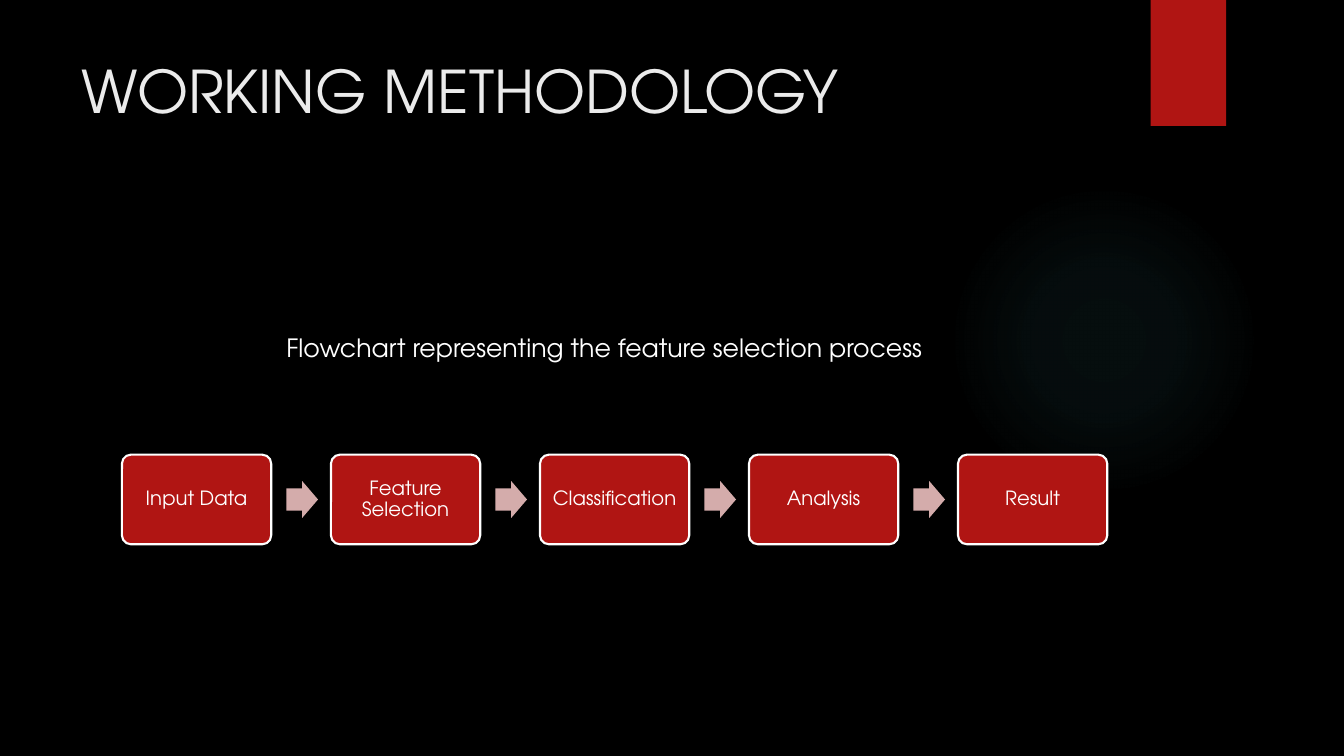
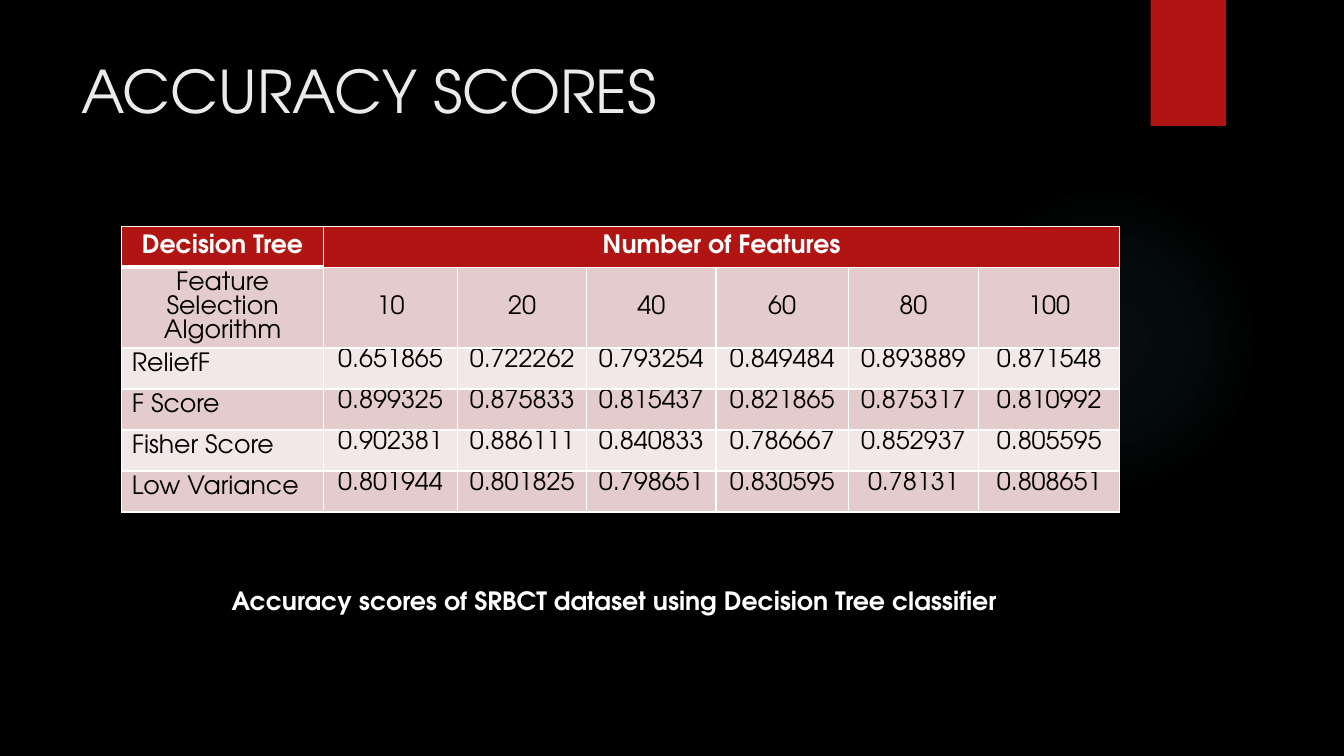
"""Build two dark slides: a feature selection flowchart and a table of accuracy scores."""
from lxml.etree import SubElement
from pptx import Presentation
from pptx.dml.color import RGBColor
from pptx.enum.shapes import MSO_SHAPE
from pptx.enum.text import MSO_ANCHOR, MSO_AUTO_SIZE, PP_ALIGN
from pptx.oxml import parse_xml
from pptx.oxml.ns import nsdecls, qn
from pptx.util import Pt

FONT = "TeX Gyre Adventor"
BLACK, WHITE, TITLE_GREY = "000000", "FFFFFF", "EBEBEB"
RED, ARROW_PINK, GLOW_TEAL = "B01513", "D4ACAB", "50B9C1"
BANDS = ["E4CCCC", "F2E8E7"]
GLOW_STOPS = [(0, 7), (36, 6), (69, 0)]

FLOW_TITLE = "WORKING METHODOLOGY"
FLOW_CAPTION = "Flowchart representing the feature selection process"
STEPS = ["Input Data", "Feature Selection", "Classification", "Analysis", "Result"]

SCORES_TITLE = "ACCURACY SCORES"
SCORES_CAPTION = "Accuracy scores of SRBCT dataset using Decision Tree classifier"
SCORES = [
    ["Decision Tree", "Number of Features", "", "", "", "", ""],
    ["Feature Selection Algorithm", "10", "20", "40", "60", "80", "100"],
    ["ReliefF", "0.651865", "0.722262", "0.793254", "0.849484", "0.893889", "0.871548"],
    ["F Score", "0.899325", "0.875833", "0.815437", "0.821865", "0.875317", "0.810992"],
    ["Fisher Score", "0.902381", "0.886111", "0.840833", "0.786667", "0.852937", "0.805595"],
    ["Low Variance", "0.801944", "0.801825", "0.798651", "0.830595", "0.78131", "0.808651"],
]
COLUMN_WIDTHS = [144, 96, 92, 92.5, 94.5, 93, 101]
ROW_HEIGHT, LABEL_ROW_HEIGHT = 29.3, 57.4


def rgb(colour):
    return RGBColor.from_string(colour)


def write(frame, text, size=18, colour=WHITE, bold=False, align=PP_ALIGN.CENTER,
          anchor=MSO_ANCHOR.TOP, spacing=1.0, margins=(7.2, 3.6), cell=None):
    if cell is None:
        frame.word_wrap = True
        frame.auto_size = MSO_AUTO_SIZE.NONE
    holder = frame if cell is None else cell
    holder.vertical_anchor = anchor
    holder.margin_left = holder.margin_right = Pt(margins[0])
    holder.margin_top = holder.margin_bottom = Pt(margins[1])
    paragraph = frame.paragraphs[0]
    paragraph.alignment = align
    paragraph.line_spacing = spacing
    run = paragraph.add_run()
    run.text = text
    run.font.name, run.font.size, run.font.bold = FONT, Pt(size), bold
    run.font.color.rgb = rgb(colour)


def add_block(slide, preset, box, fill, outline=None):
    block = slide.shapes.add_shape(preset, *map(Pt, box))
    block.shadow.inherit = False
    block.fill.solid()
    block.fill.fore_color.rgb = rgb(fill)
    if outline:
        block.line.color.rgb = rgb(outline)
        block.line.width = Pt(1.5)
    else:
        block.line.fill.background()
    return block


def add_glow(slide):
    glow = add_block(slide, MSO_SHAPE.OVAL, (677.5, 131.8, 221.8, 221.8), GLOW_TEAL)
    stops = "".join(
        f'<a:gs pos="{position * 1000}"><a:srgbClr val="{GLOW_TEAL}">'
        f'<a:alpha val="{alpha * 1000}"/></a:srgbClr></a:gs>'
        for position, alpha in GLOW_STOPS)
    gradient = parse_xml(
        f'<a:gradFill {nsdecls("a")}><a:gsLst>{stops}</a:gsLst><a:path path="circle">'
        '<a:fillToRect l="50000" t="50000" r="50000" b="50000"/></a:path></a:gradFill>')
    properties = glow._element.spPr
    properties.replace(properties.find(qn("a:solidFill")), gradient)
    return glow


def decorate_layout(layout, slide):
    layout.background.fill.solid()
    layout.background.fill.fore_color.rgb = rgb(BLACK)
    ribbon = add_block(slide, MSO_SHAPE.RECTANGLE, (822, 0, 53.8, 90), RED)
    for decoration in (add_glow(slide), ribbon):
        layout.shapes._spTree.append(decoration._element)


def add_title(slide, text):
    title = slide.shapes.title
    title.left, title.top, title.width, title.height = map(Pt, (51, 35.5, 741, 110))
    write(title.text_frame, text, size=42, colour=TITLE_GREY, align=PP_ALIGN.LEFT)


def add_caption(slide, text, box, bold=False):
    caption = slide.shapes.add_textbox(*map(Pt, box))
    write(caption.text_frame, text, bold=bold)


def add_flow(slide, left=87.1, top=324.8, width=106.6, height=64, pitch=149.3):
    arrow_width, arrow_height = 22.6, 26.4
    for index, step in enumerate(STEPS):
        x = left + index * pitch
        box = add_block(slide, MSO_SHAPE.ROUNDED_RECTANGLE, (x, top, width, height), RED, WHITE)
        box.adjustments[0] = 0.1
        write(box.text_frame, step, size=14, anchor=MSO_ANCHOR.MIDDLE, spacing=0.9,
              margins=(4.2, 4.2))
        if index < len(STEPS) - 1:
            arrow_left = x + (width + pitch - arrow_width) / 2 + 0.8
            arrow_top = top + (height - arrow_height) / 2
            arrow = add_block(slide, MSO_SHAPE.RIGHT_ARROW,
                              (arrow_left, arrow_top, arrow_width, arrow_height), ARROW_PINK)
            arrow.adjustments[0], arrow.adjustments[1] = 0.6, 0.5


def set_borders(cell, **widths):
    properties = cell._tc.get_or_add_tcPr()
    for side in "LRTB":
        line = SubElement(properties, qn(f"a:ln{side}"), w=str(Pt(widths.get(side, 1))))
        fill = SubElement(line, qn("a:solidFill"))
        SubElement(fill, qn("a:srgbClr"), val=WHITE)


def cell_format(row, column):
    if row < 2:
        return dict(bold=row == 0, colour=BLACK if row else WHITE, anchor=MSO_ANCHOR.MIDDLE)
    if column == 0:
        return dict(colour=BLACK, align=PP_ALIGN.LEFT)
    return dict(colour=BLACK, spacing=1.05, margins=(5, 0))


def add_scores(slide):
    heights = [LABEL_ROW_HEIGHT if row == 1 else ROW_HEIGHT for row in range(len(SCORES))]
    box = (87, 161.6, sum(COLUMN_WIDTHS), sum(heights))
    table = slide.shapes.add_table(len(SCORES), len(COLUMN_WIDTHS), *map(Pt, box)).table
    table.first_row = table.horz_banding = False
    for column, width in zip(table.columns, COLUMN_WIDTHS):
        column.width = Pt(width)
    for row, height in zip(table.rows, heights):
        row.height = Pt(height)
    table.cell(0, 1).merge(table.cell(0, len(COLUMN_WIDTHS) - 1))
    for row, values in enumerate(SCORES):
        for column, value in enumerate(values):
            cell = table.cell(row, column)
            thick_side = {(0, 0): "B", (1, 0): "T"}.get((row, column))
            set_borders(cell, **({thick_side: 3} if thick_side else {}))
            cell.fill.solid()
            cell.fill.fore_color.rgb = rgb(BANDS[(row - 1) % 2] if row else RED)
            if value:
                write(cell.text_frame, value, cell=cell, **cell_format(row, column))


def main():
    deck = Presentation()
    deck.slide_width, deck.slide_height = Pt(960), Pt(540)
    layout = deck.slide_layouts[5]
    flow = deck.slides.add_slide(layout)
    decorate_layout(layout, flow)
    add_title(flow, FLOW_TITLE)
    add_flow(flow)
    add_caption(flow, FLOW_CAPTION, (80.6, 234, 702, 29))

    scores = deck.slides.add_slide(layout)
    add_title(scores, SCORES_TITLE)
    add_scores(scores)
    add_caption(scores, SCORES_CAPTION, (94.3, 414.7, 689, 29), bold=True)
    deck.save("out.pptx")


if __name__ == "__main__":
    main()
